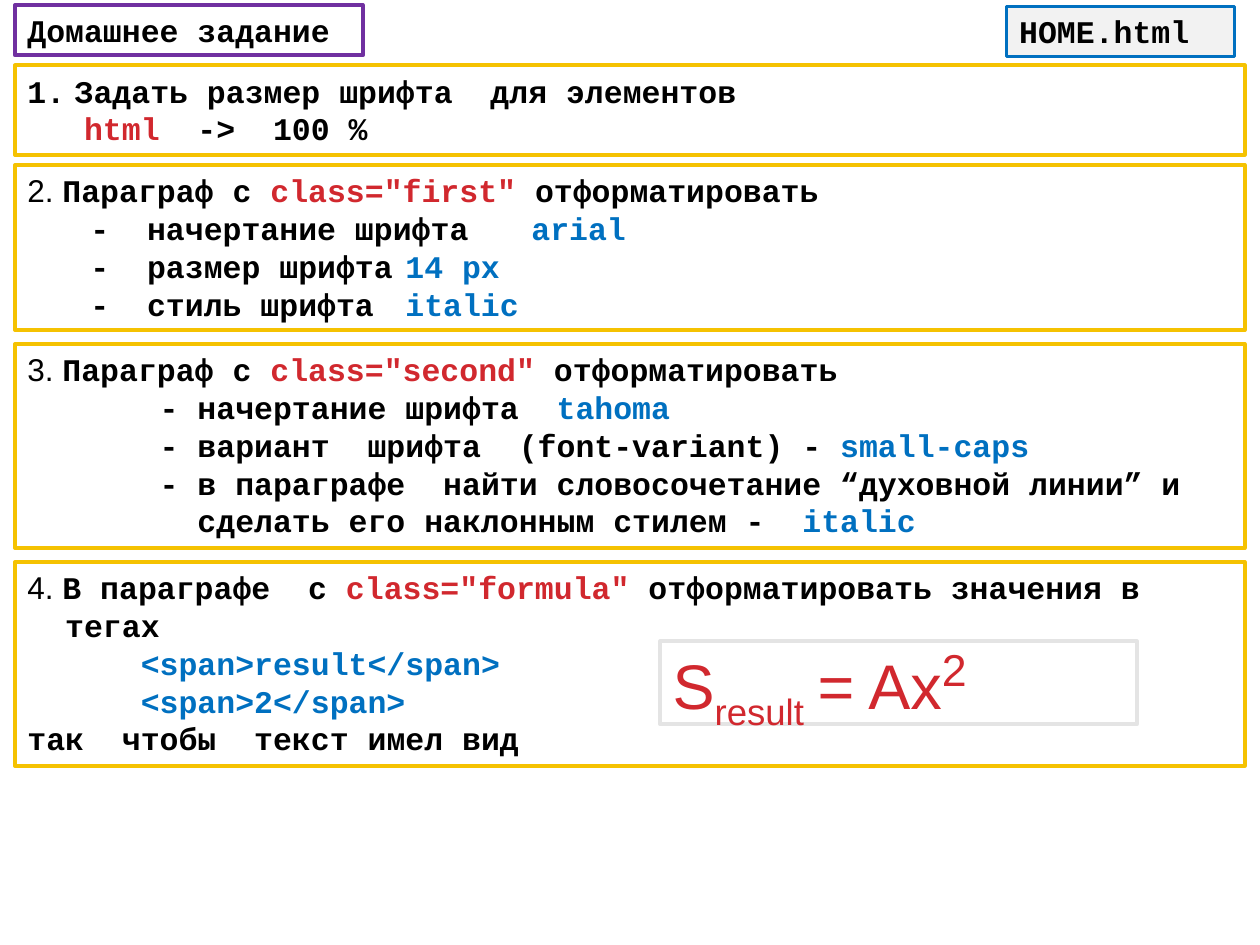
"""Build the homework slide about font formatting in HOME.html."""
from dataclasses import dataclass
from typing import Optional

from lxml.etree import SubElement
from pptx import Presentation
from pptx.dml.color import RGBColor
from pptx.enum.shapes import MSO_SHAPE
from pptx.enum.text import MSO_ANCHOR, MSO_AUTO_SIZE, PP_ALIGN
from pptx.oxml.ns import qn
from pptx.util import Pt

BLACK = RGBColor(0x00, 0x00, 0x00)
WHITE = RGBColor(0xFF, 0xFF, 0xFF)
RED = RGBColor(0xD1, 0x28, 0x2E)
BLUE = RGBColor(0x00, 0x70, 0xC0)
GOLD = RGBColor(0xF5, 0xC2, 0x01)
PURPLE = RGBColor(0x70, 0x30, 0xA0)
LIGHT_GRAY = RGBColor(0xF2, 0xF2, 0xF2)
SILVER = RGBColor(0xE4, 0xE4, 0xE4)

CODE_FONT = "Courier New"
PLAIN_FONT = "Arial"
CHARACTER = 10.8
LEFT = 8.6
TASK_WIDTH = 702.7


@dataclass(frozen=True)
class Span:
    text: str
    color: RGBColor = BLACK
    font: str = CODE_FONT
    size: float = 18
    bold: bool = True
    baseline: int = 0


@dataclass(frozen=True)
class Para:
    spans: tuple[Span, ...]
    indent: float = 0
    tabs: tuple[float, ...] = ()
    numbered: bool = False


@dataclass(frozen=True)
class Box:
    left: float
    top: float
    width: float
    height: float
    line: RGBColor
    paras: tuple[Para, ...]
    fill: Optional[RGBColor] = WHITE
    line_width: float = 2.25
    anchor: MSO_ANCHOR = MSO_ANCHOR.TOP
    grows: bool = True


def text_line(*spans: Span, indent: int = 0) -> Para:
    """Return a paragraph indented by a number of code characters."""
    return Para(spans, indent * CHARACTER)


def heading(number: int, start: str, class_name: str, end: str) -> Para:
    """Return the first line of a task about a class."""
    return text_line(Span(f"{number}. ", font=PLAIN_FONT, bold=False), Span(start),
                     Span(f'class="{class_name}" ', RED), Span(end))


def property_line(name: str, value: str) -> Para:
    """Return a dash item with its value in a second column."""
    return Para((Span(f"\t-  {name}\t"), Span(value, BLUE)),
                tabs=(7 * CHARACTER, 29 * CHARACTER))


def formula_span(text: str, size: float = 36, baseline: int = 0) -> Span:
    """Return one piece of the formula."""
    return Span(text, RED, PLAIN_FONT, size, False, baseline)


def task(top: float, height: float, *paras: Para) -> Box:
    """Return a full-width task box."""
    return Box(LEFT, top, TASK_WIDTH, height, GOLD, paras)


BOXES = (
    task(37.4, 51.1,
         Para((Span("Задать размер шрифта  для элементов"),), 27, numbered=True),
         text_line(Span("html", RED), Span("  ->  100 %"), indent=3)),
    task(94.3, 94.3,
         heading(2, "Параграф с ", "first", "отформатировать"),
         property_line("начертание шрифта", "arial"),
         property_line("размер шрифта", "14 px"),
         property_line("стиль шрифта", "italic")),
    task(196.6, 116.6,
         heading(3, "Параграф с ", "second", "отформатировать"),
         text_line(Span("- начертание шрифта  "), Span("tahoma", BLUE), indent=7),
         text_line(Span("- вариант  шрифта  (font-variant) - "),
                   Span("small-caps", BLUE), indent=7),
         text_line(Span("- в параграфе  найти словосочетание “духовной линии” и"),
                   indent=7),
         text_line(Span("сделать его наклонным стилем -  "), Span("italic", BLUE),
                   indent=9)),
    task(321.1, 116.6,
         heading(4, "В параграфе  с ", "formula", "отформатировать значения в"),
         text_line(Span("тегах"), indent=2),
         text_line(Span("<span>result</span>", BLUE), indent=6),
         text_line(Span("<span>2</span>", BLUE), indent=6),
         text_line(Span("так  чтобы  текст имел вид"))),
    Box(377.3, 366.5, 272.2, 47.5, SILVER,
        (text_line(formula_span("S"), formula_span("result", baseline=-25),
                   formula_span(" ", 48, -25), formula_span("= Ax"),
                   formula_span("2", 44, 30)),),
        anchor=MSO_ANCHOR.MIDDLE, grows=False),
    Box(575.3, 3.6, 130.3, 28.8, BLUE, (text_line(Span("HOME.html")),),
        fill=LIGHT_GRAY, line_width=1.5),
    Box(LEFT, 2.9, 198.7, 28.8, PURPLE, (text_line(Span("Домашнее задание")),),
        fill=None, anchor=MSO_ANCHOR.MIDDLE),
)


def write_para(paragraph, para: Para) -> None:
    """Write the spans of a paragraph with its indent, number and tab stops."""
    paragraph.alignment = PP_ALIGN.LEFT
    properties = paragraph._p.get_or_add_pPr()
    properties.set("marL", str(Pt(para.indent)))
    properties.set("indent", str(Pt(-para.indent if para.numbered else 0)))
    if para.numbered:
        SubElement(properties, qn("a:buFont"), typeface=CODE_FONT)
        SubElement(properties, qn("a:buAutoNum"), type="arabicPeriod")
    if para.tabs:
        tab_list = SubElement(properties, qn("a:tabLst"))
        for position in para.tabs:
            SubElement(tab_list, qn("a:tab"), pos=str(Pt(position)), algn="l")
    for span in para.spans:
        run = paragraph.add_run()
        run.text = span.text
        run.font.name = span.font
        run.font.size = Pt(span.size)
        run.font.bold = span.bold
        run.font.color.rgb = span.color
        if span.baseline:
            run._r.get_or_add_rPr().set("baseline", str(span.baseline * 1000))


def draw_box(page, box: Box) -> None:
    """Draw a bordered rectangle with its text."""
    shape = page.shapes.add_shape(MSO_SHAPE.RECTANGLE, Pt(box.left), Pt(box.top),
                                  Pt(box.width), Pt(box.height))
    shape.shadow.inherit = False
    if box.fill is None:
        shape.fill.background()
    else:
        shape.fill.solid()
        shape.fill.fore_color.rgb = box.fill
    shape.line.color.rgb = box.line
    shape.line.width = Pt(box.line_width)
    frame = shape.text_frame
    frame.word_wrap = True
    frame.vertical_anchor = box.anchor
    frame.auto_size = MSO_AUTO_SIZE.SHAPE_TO_FIT_TEXT if box.grows else MSO_AUTO_SIZE.NONE
    for index, para in enumerate(box.paras):
        write_para(frame.add_paragraph() if index else frame.paragraphs[0], para)


def main() -> None:
    """Create and save the deck."""
    deck = Presentation()
    deck.slide_width = Pt(720)
    deck.slide_height = Pt(540)
    page = deck.slides.add_slide(deck.slide_layouts[6])
    for box in BOXES:
        draw_box(page, box)
    deck.save("out.pptx")


main()
